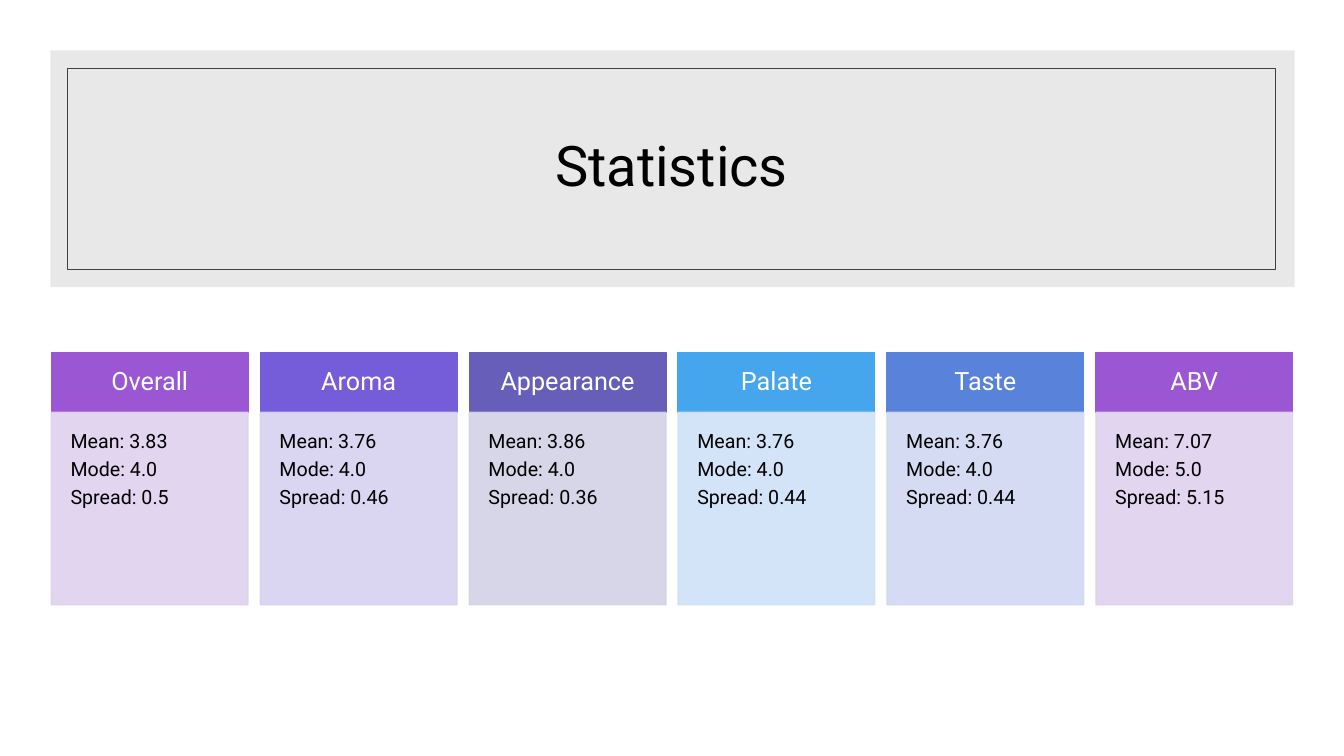
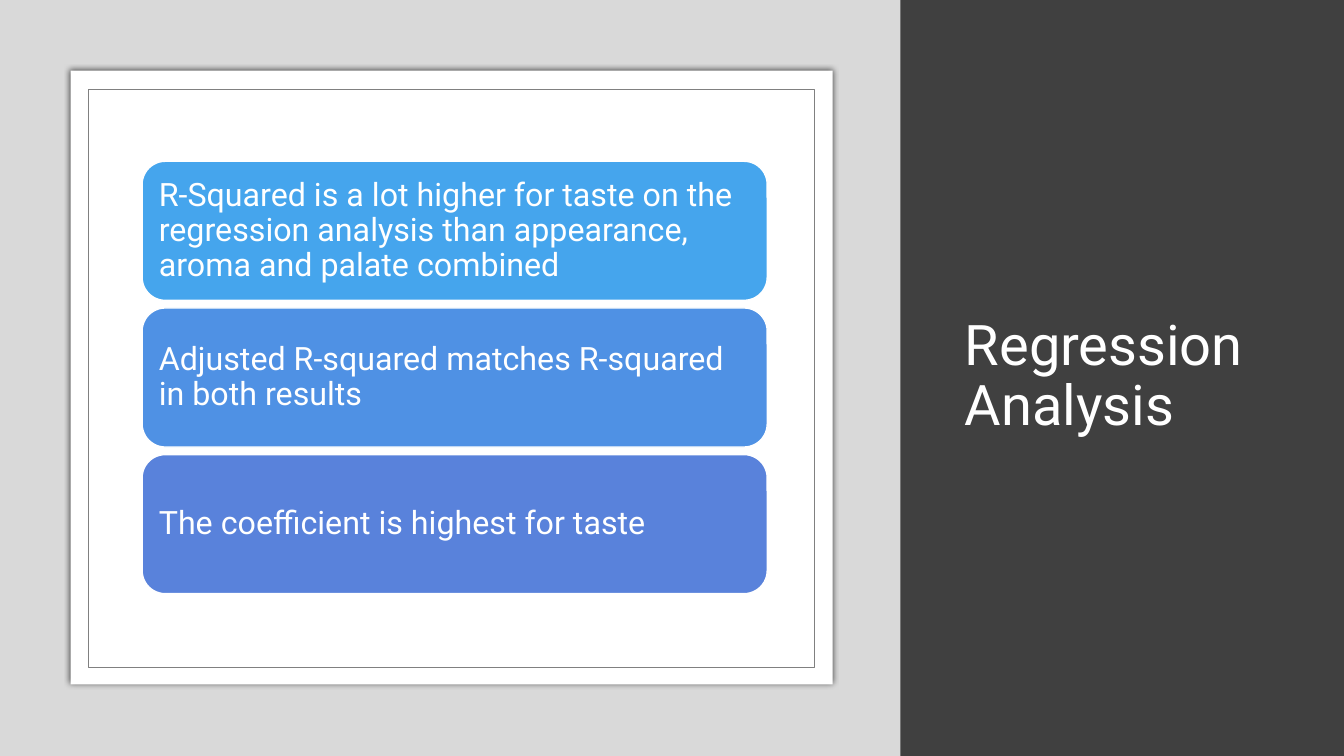
from dataclasses import dataclass

from lxml.etree import SubElement
from pptx import Presentation
from pptx.dml.color import RGBColor
from pptx.enum.shapes import MSO_SHAPE as Shape
from pptx.enum.text import MSO_ANCHOR as Anchor, MSO_AUTO_SIZE as AutoSize, PP_ALIGN as Align
from pptx.oxml.ns import qn
from pptx.util import Inches, Pt


@dataclass(frozen=True)
class Theme:
    font: str = "Roboto"
    white: str = "FFFFFF"
    black: str = "000000"
    dark: str = "404040"
    gray: str = "808080"
    light: str = "D9D9D9"
    violet: str = "9B57D3"
    indigo: str = "755DD9"
    slate: str = "665EB8"
    sky: str = "45A5ED"
    azure: str = "4F91E4"
    blue: str = "5982DB"
    pale_violet: str = "DED1EF"
    pale_indigo: str = "D6D2F1"
    pale_slate: str = "D3D2E6"
    pale_sky: str = "CFE1F8"
    pale_blue: str = "D1D8F1"
    title_size: int = 40
    point_size: int = 23
    header_size: int = 18
    body_size: int = 14
    line_spacing: float = 0.9
    space_after: float = 0.35  # share of the type size


THEME = Theme()

STATISTICS = [
    ("Overall", "3.83", "4.0", "0.5", THEME.violet, THEME.pale_violet),
    ("Aroma", "3.76", "4.0", "0.46", THEME.indigo, THEME.pale_indigo),
    ("Appearance", "3.86", "4.0", "0.36", THEME.slate, THEME.pale_slate),
    ("Palate", "3.76", "4.0", "0.44", THEME.sky, THEME.pale_sky),
    ("Taste", "3.76", "4.0", "0.44", THEME.blue, THEME.pale_blue),
    ("ABV", "7.07", "5.0", "5.15", THEME.violet, THEME.pale_violet),
]

POINTS = [
    ("R-Squared is a lot higher for taste on the regression analysis than "
     "appearance, aroma and palate combined", THEME.sky),
    ("Adjusted R-squared matches R-squared in both results", THEME.azure),
    ("The coefficient is highest for taste", THEME.blue),
]


def add_box(page, left, top, width, height, fill=None, line=None, line_width=1,
            opacity=100, kind=Shape.RECTANGLE):
    box = page.shapes.add_shape(kind, Inches(left), Inches(top), Inches(width), Inches(height))
    box.shadow.inherit = False
    if fill:
        box.fill.solid()
        box.fill.fore_color.rgb = RGBColor.from_string(fill)
    else:
        box.fill.background()
    if line:
        box.line.color.rgb = RGBColor.from_string(line)
        box.line.width = Pt(line_width)
    else:
        box.line.fill.background()
    if opacity < 100:
        for color in box._element.spPr.iter(qn("a:srgbClr")):
            set_alpha(color, opacity)
    return box


def set_alpha(color, percent):
    SubElement(color, qn("a:alpha"), val=str(percent * 1000))


def add_glow_shadow(box, blur, opacity):
    effects = box._element.spPr.find(qn("a:effectLst"))
    shadow = SubElement(effects, qn("a:outerShdw"), blurRad=str(Pt(blur)), dist="0",
                        algn="ctr", rotWithShape="0")
    set_alpha(SubElement(shadow, qn("a:srgbClr"), val=THEME.black), opacity)


def write(box, text, size, color, align=Align.LEFT, anchor=Anchor.MIDDLE,
          inset=None, space_after=THEME.space_after):
    frame = box.text_frame
    frame.text = text
    frame.word_wrap = True
    frame.auto_size = AutoSize.NONE
    frame.vertical_anchor = anchor
    if inset is not None:
        frame.margin_left = frame.margin_right = Inches(inset)
        frame.margin_top = frame.margin_bottom = Inches(inset)
    for para in frame.paragraphs:
        para.alignment = align
        para.line_spacing = THEME.line_spacing
        para.space_before = Pt(0)
        para.space_after = Pt(size * space_after)
        for span in para.runs:
            span.font.name = THEME.font
            span.font.size = Pt(size)
            span.font.color.rgb = RGBColor.from_string(color)


def add_page(deck, background):
    page = deck.slides.add_slide(deck.slide_layouts[5])
    page.background.fill.solid()
    page.background.fill.fore_color.rgb = RGBColor.from_string(background)
    return page


def place_title(page, text, left, top, width, height, color, align=Align.LEFT):
    """Fill the title placeholder and bring it in front of the shapes drawn so far."""
    title = page.shapes.title
    title.left, title.top = Inches(left), Inches(top)
    title.width, title.height = Inches(width), Inches(height)
    write(title, text, THEME.title_size, color, align, space_after=0)
    page.shapes._spTree.append(title._element)


def add_statistic_column(page, left, name, mean, mode, spread, color, pale):
    top, width, header_height, body_height = 3.5, 1.95, 0.59, 1.91
    header = add_box(page, left, top, width, header_height, color, color)
    write(header, name, THEME.header_size, THEME.white, Align.CENTER, inset=0.15)
    body = add_box(page, left, top + header_height, width, body_height, pale, pale, opacity=90)
    write(body, f"Mean: {mean}\nMode: {mode}\nSpread: {spread}", THEME.body_size,
          THEME.black, anchor=Anchor.TOP, inset=0.19)


def build_statistics(deck):
    page = add_page(deck, THEME.white)
    add_box(page, 0.5, 0.5, 12.34, 2.35, THEME.light, opacity=60)
    add_box(page, 0.67, 0.68, 11.98, 1.99, line=THEME.dark, line_width=0.5)
    place_title(page, "Statistics", 1.16, 0.92, 11, 1.5, THEME.black, Align.CENTER)
    first_left, last_left = 0.51, 10.87
    pitch = (last_left - first_left) / (len(STATISTICS) - 1)
    for index, statistic in enumerate(STATISTICS):
        add_statistic_column(page, first_left + index * pitch, *statistic)


def build_regression(deck):
    page = add_page(deck, THEME.dark)
    place_title(page, "Regression Analysis", 9.47, 0.7, 3.16, 6.09, THEME.white)
    add_box(page, 0, 0, 8.93, 7.5, THEME.light)
    card = add_box(page, 0.7, 0.7, 7.56, 6.09, THEME.white)
    add_glow_shadow(card, blur=4, opacity=66)
    add_box(page, 0.88, 0.89, 7.2, 5.73, THEME.white, THEME.gray, 0.5)
    top, pitch = 1.6, 1.455
    for index, (text, color) in enumerate(POINTS):
        point = add_box(page, 1.41, top + index * pitch, 6.2, 1.38, color, THEME.white,
                        kind=Shape.ROUNDED_RECTANGLE)
        write(point, text, THEME.point_size, THEME.white, inset=0.1)


def main():
    deck = Presentation()
    deck.slide_width, deck.slide_height = Inches(13.33), Inches(7.5)
    build_statistics(deck)
    build_regression(deck)
    deck.save("out.pptx")


if __name__ == "__main__":
    main()
